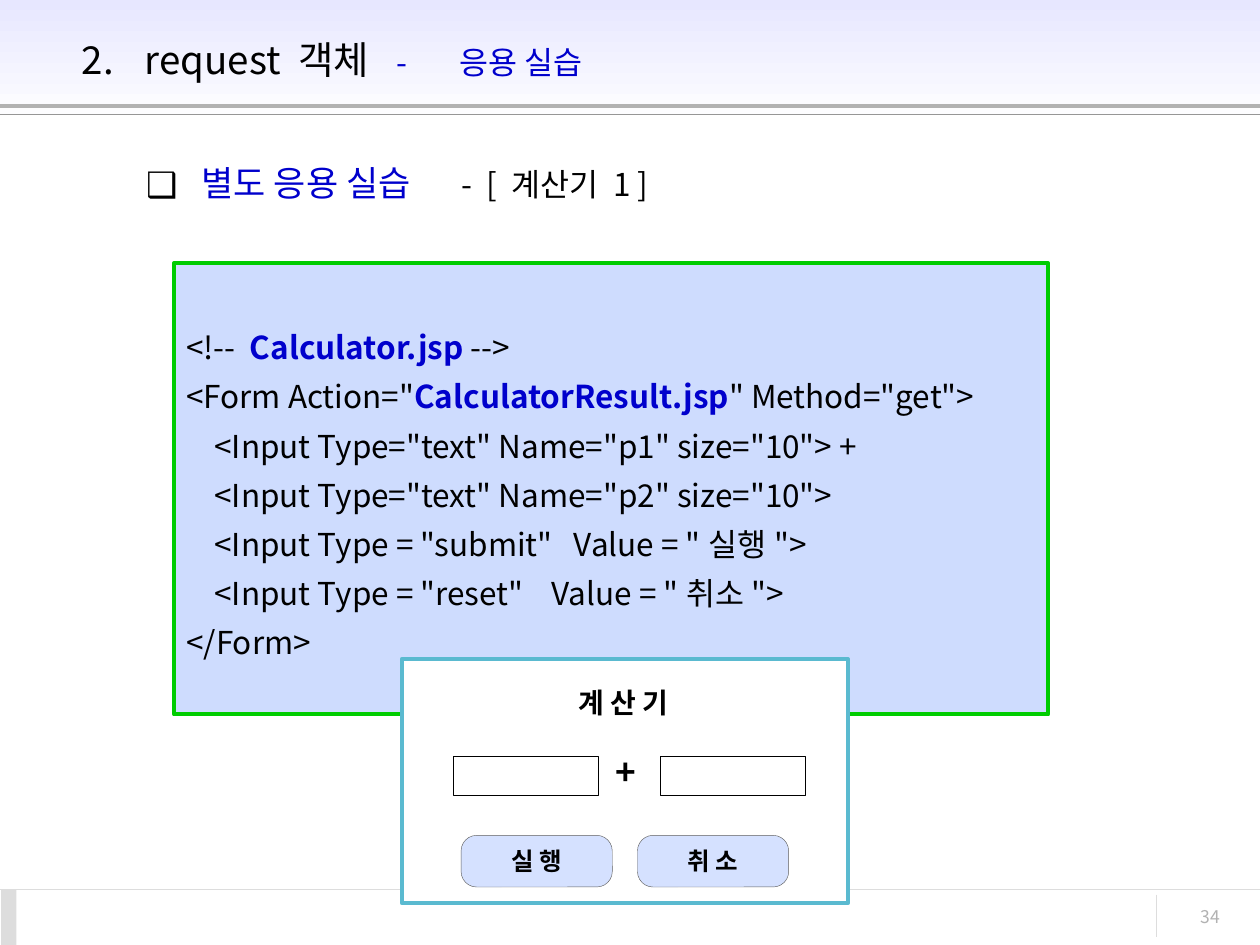
from dataclasses import dataclass

from lxml.etree import SubElement
from pptx import Presentation
from pptx.dml.color import RGBColor
from pptx.enum.shapes import MSO_CONNECTOR, MSO_SHAPE as Shape
from pptx.enum.text import MSO_ANCHOR as Anchor, MSO_AUTO_SIZE as AutoSize, PP_ALIGN as Align
from pptx.oxml.ns import qn
from pptx.util import Inches, Pt


@dataclass(frozen=True)
class Theme:
    font: str = "Noto Sans CJK KR"
    black: str = "000000"
    white: str = "FFFFFF"
    accent: str = "0000CC"
    band: str = "E7E7FF"
    rule: str = "B2B2B2"
    thin_rule: str = "969696"
    footer: str = "DDDDDD"
    code_fill: str = "CEDCFE"
    code_line: str = "00CC00"
    window_line: str = "5ABAD0"
    button_fill: str = "D5E1FF"
    button_line: str = "5F5F5F"
    title_size: int = 22
    heading_size: int = 20
    body_size: int = 18
    caption_size: int = 16
    button_size: int = 14
    number_size: int = 10


class SlideBuilder:
    def __init__(self, slide, theme):
        self.slide = slide
        self.theme = theme
        self.target = slide.shapes

    def open_group(self):
        self.target = self.slide.shapes.add_group_shape().shapes

    def box(self, area, fill=None, line=None, width=0.25, kind=Shape.RECTANGLE):
        shape = self.target.add_shape(kind, *map(Inches, area))
        shape.shadow.inherit = False
        if fill:
            shape.fill.solid()
            shape.fill.fore_color.rgb = RGBColor.from_string(fill)
        else:
            shape.fill.background()
        if line:
            shape.line.color.rgb = RGBColor.from_string(line)
            shape.line.width = Pt(width)
        else:
            shape.line.fill.background()
        return shape

    def gradient_band(self, area, top, bottom):
        band = self.box(area)
        band.fill.gradient()
        band.fill.gradient_angle = 270
        for stop, color, position in zip(band.fill.gradient_stops, (top, bottom), (0, 1)):
            stop.color.rgb = RGBColor.from_string(color)
            stop.position = position

    def line(self, start, end, color, width=0.75):
        rule = self.target.add_connector(MSO_CONNECTOR.STRAIGHT, *map(Inches, start + end))
        rule.line.color.rgb = RGBColor.from_string(color)
        rule.line.width = Pt(width)
        SubElement(rule._element.spPr, qn("a:effectLst"))

    def add_runs(self, paragraph, runs, align=Align.LEFT):
        """Each run is (text, size, color, bold)."""
        paragraph.alignment = align
        for text, size, color, bold in runs:
            run = paragraph.add_run()
            run.text = text
            font = run.font
            font.name, font.size, font.bold = self.theme.font, Pt(size), bold
            font.color.rgb = RGBColor.from_string(color)
            SubElement(run._r.get_or_add_rPr(), qn("a:ea"), typeface=self.theme.font)

    def label(self, area, text, size, color, bold=True, align=Align.CENTER, wrap=False):
        frame = self.target.add_textbox(*map(Inches, area)).text_frame
        frame.word_wrap = wrap
        self.add_runs(frame.paragraphs[0], [(text, size, color, bold)], align)

    def placeholder(self, index, area, anchor, runs, tabs, bullet=None, indent=0):
        holder = self.slide.placeholders[index]
        holder.left, holder.top, holder.width, holder.height = map(Inches, area)
        self.slide.shapes._spTree.append(holder._element)  # in front of the band
        frame = holder.text_frame
        frame.auto_size = AutoSize.NONE
        frame.vertical_anchor = anchor
        paragraph = frame.paragraphs[0]
        paragraph.space_before = Pt(0)
        props = paragraph._p.get_or_add_pPr()
        props.set("marL", str(Inches(indent)))
        props.set("indent", str(-Inches(indent)))
        if bullet:
            bullet_color = SubElement(props, qn("a:buClr"))
            SubElement(bullet_color, qn("a:srgbClr"), val=self.theme.black)
            SubElement(props, qn("a:buFont"), typeface=self.theme.font)
            SubElement(props, qn("a:buChar"), char=bullet)
        stops = SubElement(props, qn("a:tabLst"))
        for tab in tabs:
            SubElement(stops, qn("a:tab"), pos=str(Inches(tab)), algn="l")
        self.add_runs(paragraph, runs)

    def code(self, area, lines):
        """Each line is a list of (text, highlighted) pairs."""
        theme = self.theme
        frame = self.box(area, theme.code_fill, theme.code_line, 2.25).text_frame
        frame.word_wrap = True
        frame.vertical_anchor = Anchor.MIDDLE
        for number, parts in enumerate(lines):
            paragraph = frame.add_paragraph() if number else frame.paragraphs[0]
            paragraph.line_spacing = 1.3
            self.add_runs(paragraph, [
                (text, theme.body_size, theme.accent if marked else theme.black, marked)
                for text, marked in parts])

    def button(self, area, text):
        theme = self.theme
        shape = self.box(area, theme.button_fill, theme.button_line, kind=Shape.ROUNDED_RECTANGLE)
        shape.adjustments[0] = 0.3
        frame = shape.text_frame
        frame.word_wrap = False
        frame.vertical_anchor = Anchor.MIDDLE
        self.add_runs(frame.paragraphs[0], [(text, theme.button_size, theme.black, True)], Align.CENTER)


CODE_LINES = [
    [("<!--  ", False), ("Calculator.jsp", True), (" -->", False)],
    [('<Form Action="', False), ("CalculatorResult.jsp", True), ('" Method="get">', False)],
    [('    <Input Type="text" Name="p1" size="10"> +', False)],
    [('    <Input Type="text" Name="p2" size="10">', False)],
    [('    <Input Type = "submit"   Value = "실행">', False)],
    [('    <Input Type = "reset"    Value = "취소">', False)],
    [("</Form>", False)],
]


def main():
    theme = Theme()
    deck = Presentation()
    deck.slide_width, deck.slide_height = Inches(10), Inches(7.5)
    page = SlideBuilder(deck.slides.add_slide(deck.slide_layouts[1]), theme)

    # Header band and footer
    page.gradient_band((0, 0, 10, 1), theme.band, theme.white)
    page.line((0, 0.84), (10, 0.84), theme.rule, 2.25)
    page.line((0, 0.91), (10, 0.91), theme.thin_rule)
    page.line((0, 7.06), (10, 7.06), theme.footer)
    page.box((0.01, 7.06, 0.12, 0.44), theme.footer)
    page.line((9.18, 7.1), (9.18, 7.44), theme.footer)
    page.label((8.86, 7.14, 0.92, 0.33), "34", theme.number_size, theme.rule,
               bold=False, align=Align.RIGHT, wrap=True)

    # Title and heading
    page.placeholder(0, (0.55, 0.13, 8.63, 0.68), Anchor.MIDDLE, [
        ("2.\trequest 객체", theme.title_size, theme.black, False),
        ("\t-\t응용 실습", theme.body_size, theme.accent, False),
    ], tabs=(0.4, 2.5, 2.82))
    page.placeholder(1, (1.06, 1.23, 8.67, 4.95), Anchor.TOP, [
        ("별도 응용 실습", theme.heading_size, theme.accent, False),
        ("\t-\t[ 계산기 1 ]", theme.body_size, theme.black, False),
    ], tabs=(2.5, 2.7), bullet="❑", indent=0.44)

    # Source of the form
    page.code((1.38, 2.09, 6.94, 3.58), CODE_LINES)

    # Calculator window
    page.open_group()
    page.box((3.19, 5.23, 3.54, 1.94), theme.white, theme.window_line, 2.25)
    page.label((4.49, 5.39, 0.93, 0.4), "계 산 기", theme.caption_size, theme.black, align=Align.LEFT)
    for left in (3.6, 5.24):
        page.box((left, 6, 1.15, 0.31), line=theme.black)
    page.label((4.79, 5.91, 0.36, 0.44), "+", theme.heading_size, theme.black)
    for left, caption in ((3.66, "실 행"), (5.06, "취 소")):
        page.button((left, 6.63, 1.2, 0.41), caption)

    deck.save("out.pptx")


if __name__ == "__main__":
    main()
